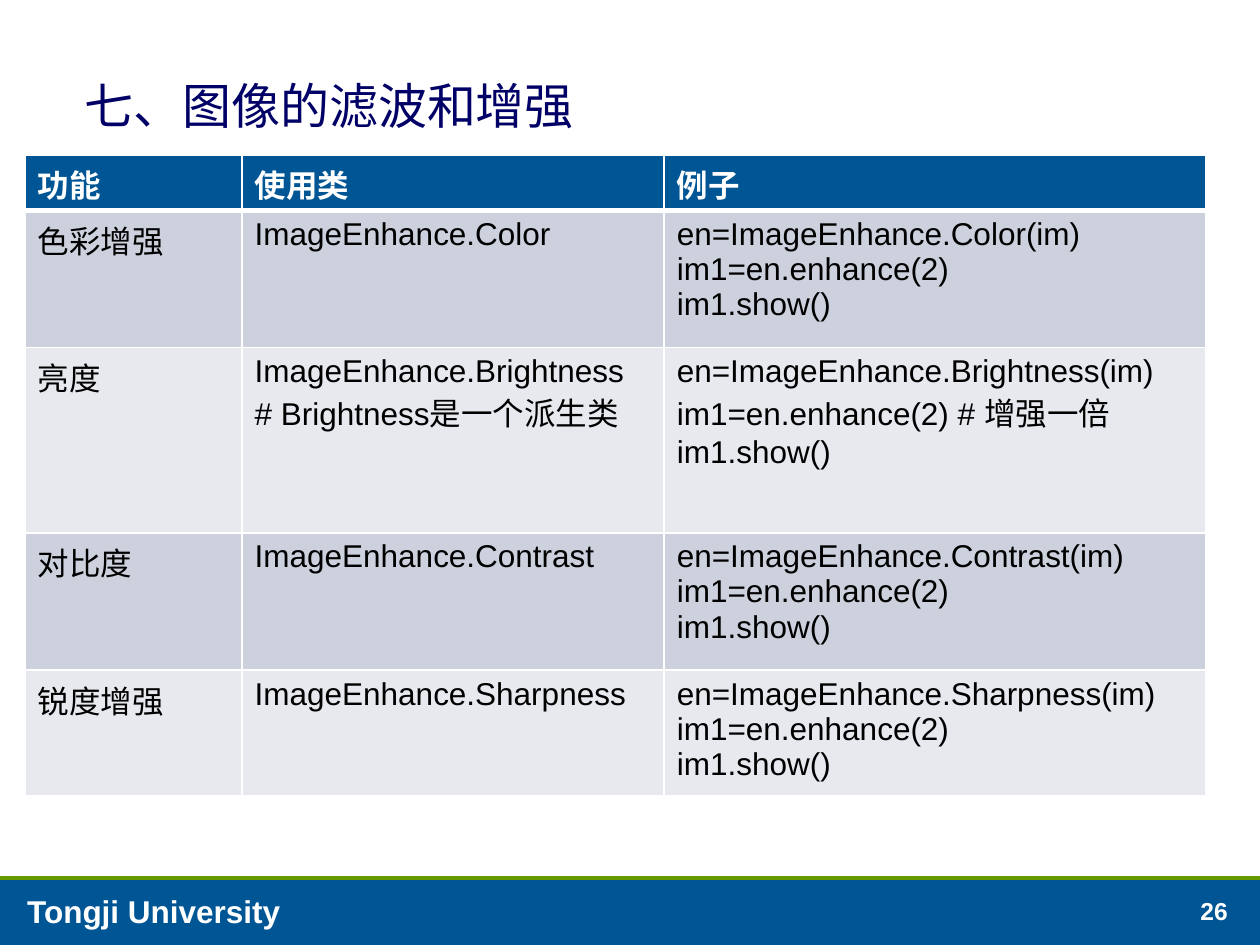
from lxml import etree
from pptx import Presentation
from pptx import util as u
from pptx.dml.color import RGBColor
from pptx.enum import shapes, text
from pptx.oxml import ns

WHITE = RGBColor(0xFF, 0xFF, 0xFF)
BLACK = RGBColor(0, 0, 0)
NAVY = RGBColor(0, 0, 0x66)
BLUE = RGBColor(0, 0x55, 0x95)
GREEN = RGBColor(0x66, 0x99, 0)
BANDS = [RGBColor(0xCC, 0xD1, 0xDD), RGBColor(0xE7, 0xE9, 0xEF)]

HEAD = ["功能", "使用类", "例子"]
# label, class, remark on the class, remark on the call
ROWS = [
    ("色彩增强", "Color", "", ""),
    ("亮度", "Brightness", "\n# Brightness是一个派生类", " # 增强一倍"),
    ("对比度", "Contrast", "", ""),
    ("锐度增强", "Sharpness", "", ""),
]
COLS = [4.37, 8.51, 10.92]
HIGHS = [1.12, 2.77, 3.73, 2.77, 1.93]


def style(frame, color, **form):
    for para in frame.paragraphs:
        for key, val in form.items():
            setattr(para.font, key, val)
        para.font.color.rgb = color


def box(*at):
    return [u.Cm(n) for n in at]


def add_title(slide):
    title = slide.shapes.title
    title.left, title.top, title.width, title.height = box(1.45, 0.74, 22.1, 2.13)
    frame = title.text_frame
    frame.text = "七、图像的滤波和增强"
    frame.auto_size = text.MSO_AUTO_SIZE.NONE
    frame.vertical_anchor = text.MSO_ANCHOR.BOTTOM
    para = frame.paragraphs[0]
    para.alignment = text.PP_ALIGN.LEFT
    para.line_spacing = 0.95
    style(frame, NAVY, name="Times New Roman", size=u.Pt(28))


def add_label(slide, words, at, size, wrap, anchor):
    frame = slide.shapes.add_textbox(*box(*at)).text_frame
    frame.text = words
    frame.word_wrap = wrap
    frame.vertical_anchor = anchor
    frame.auto_size = text.MSO_AUTO_SIZE.SHAPE_TO_FIT_TEXT
    style(frame, WHITE, name="Arial", size=u.Pt(size), bold=True)


def add_footer(slide):
    bar = slide.shapes.add_shape(
        shapes.MSO_SHAPE.RECTANGLE, *box(0, 17.7, 25.4, 1.35))
    bar.shadow.inherit = False
    bar.fill.solid()
    bar.fill.fore_color.rgb = BLUE
    bar.line.fill.background()
    rule = slide.shapes.add_connector(
        shapes.MSO_CONNECTOR.STRAIGHT, *box(0, 17.7, 25.4, 17.7))
    rule.line.color.rgb = GREEN
    rule.line.width = u.Pt(2)
    etree.SubElement(rule._element.spPr, ns.qn("a:effectLst"))
    add_label(slide, "26", (23.95, 17.93, 1.35, 0.86), 14, False,
              text.MSO_ANCHOR.BOTTOM)
    add_label(slide, "Tongji University", (0.3, 17.86, 17.88, 1.02), 18, True,
              text.MSO_ANCHOR.TOP)


def add_edges(cell, **wide):
    """Draw white cell borders; wide gives points for each of L, R, T, B."""
    props = cell._tc.get_or_add_tcPr()
    for side, pts in wide.items():
        line = etree.SubElement(props, ns.qn("a:ln" + side), w=str(u.Pt(pts)))
        fill = etree.SubElement(line, ns.qn("a:solidFill"))
        etree.SubElement(fill, ns.qn("a:srgbClr"), val=str(WHITE))


def add_grid(slide):
    data = [HEAD] + [
        (label, f"ImageEnhance.{kind}{note}",
         f"en=ImageEnhance.{kind}(im)\nim1=en.enhance(2){tip}\nim1.show()")
        for label, kind, note, tip in ROWS]
    grid = slide.shapes.add_table(
        len(data), len(COLS), *box(0.51, 3.12, sum(COLS), sum(HIGHS))).table
    for col, wide in zip(grid.columns, COLS):
        col.width = u.Cm(wide)
    for i, (row, high) in enumerate(zip(grid.rows, HIGHS)):
        row.height = u.Cm(high)
        head = i == 0
        for cell, words in zip(row.cells, data[i]):
            cell.text = words
            style(cell.text_frame, WHITE if head else BLACK,
                  name="Arial", size=u.Pt(18), bold=head)
            add_edges(cell, L=1, R=1, T=3 if i == 1 else 1, B=3 if head else 1)
            cell.fill.solid()
            cell.fill.fore_color.rgb = BLUE if head else BANDS[(i - 1) % 2]


def main():
    deck = Presentation()
    deck.slide_width, deck.slide_height = box(25.4, 19.05)
    slide = deck.slides.add_slide(deck.slide_layouts[5])
    add_footer(slide)
    add_title(slide)
    add_grid(slide)
    deck.save("out.pptx")


if __name__ == "__main__":
    main()
